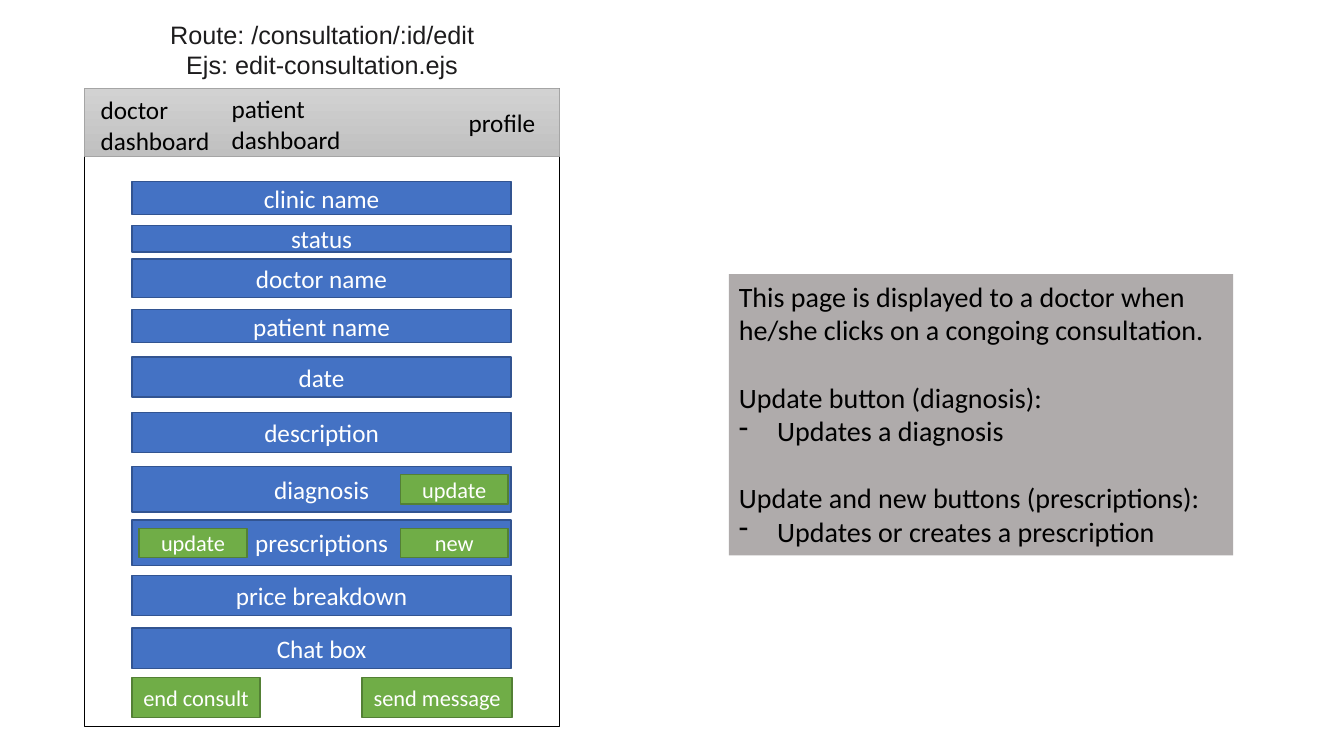
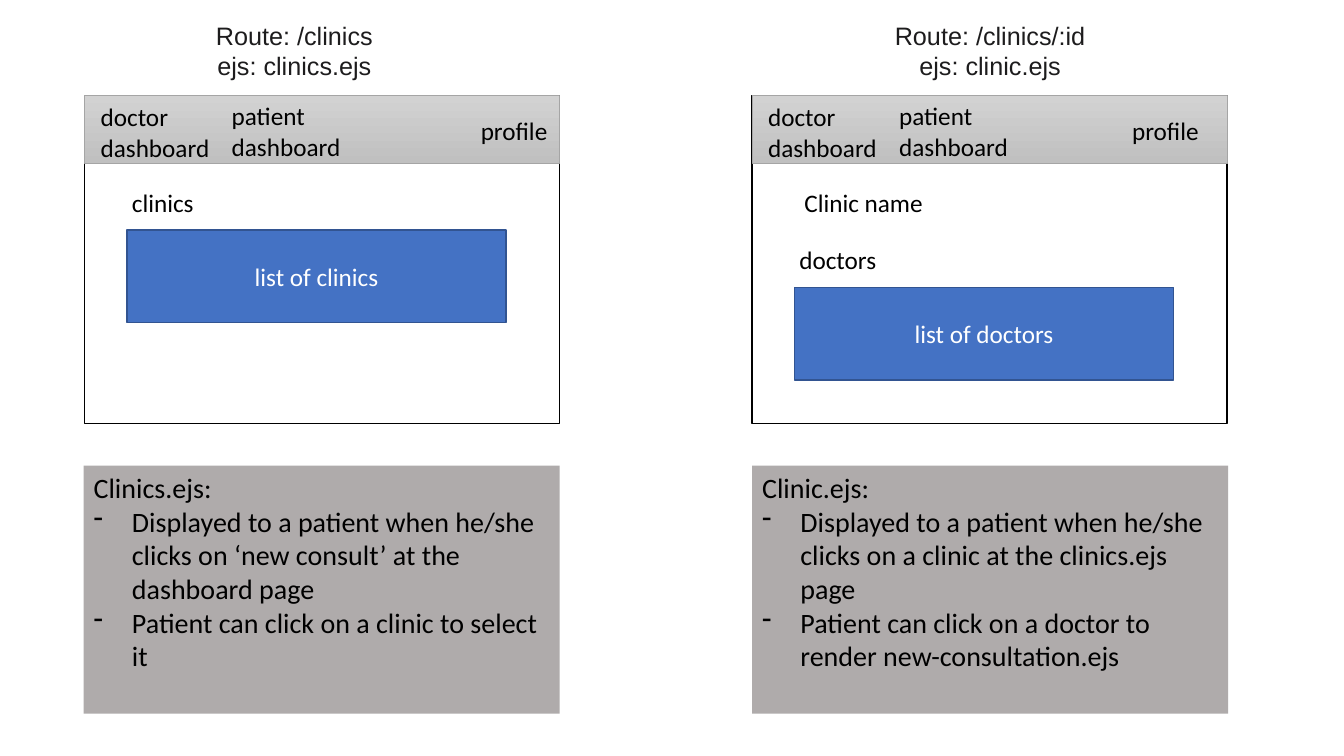
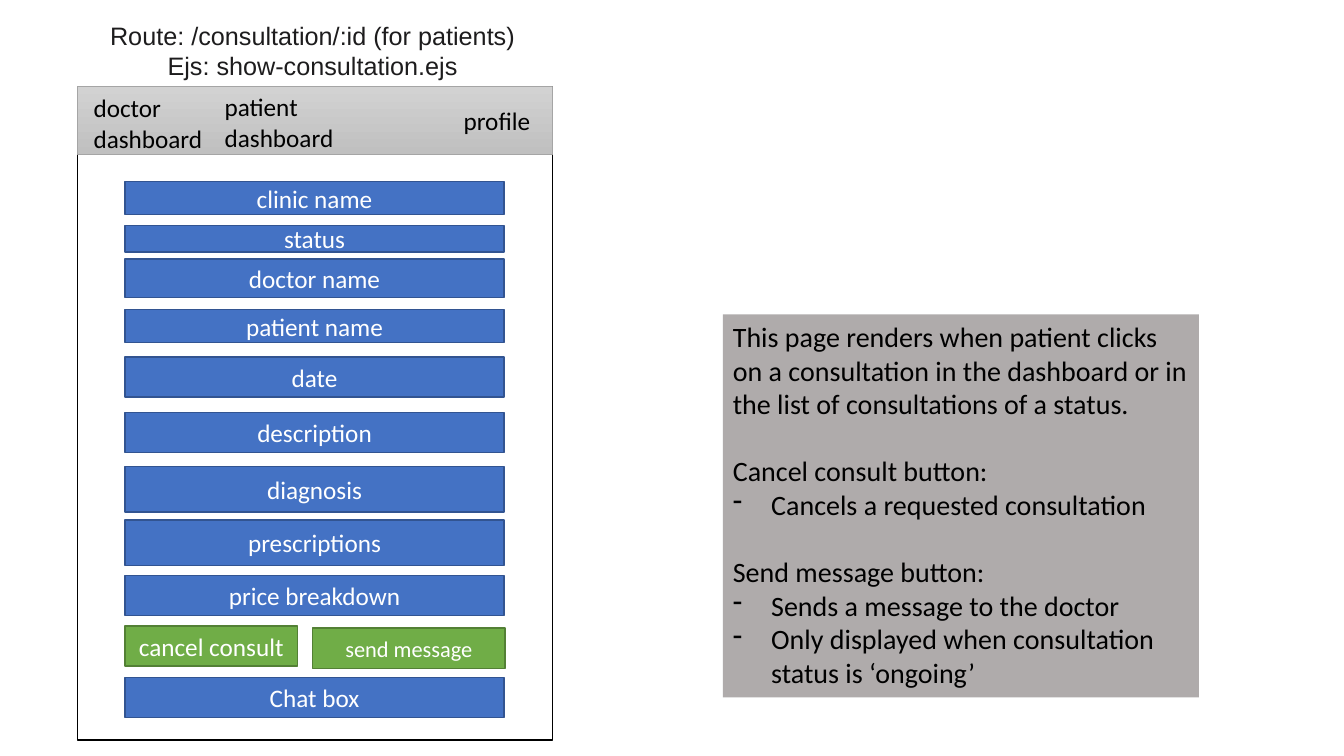
from dataclasses import dataclass
from typing import Any

from lxml import etree
from pptx import Presentation
from pptx.dml.color import RGBColor
from pptx.enum.shapes import MSO_SHAPE
from pptx.enum.text import MSO_ANCHOR, MSO_AUTO_SIZE, PP_ALIGN
from pptx.oxml.ns import qn
from pptx.util import Inches, Pt

RECT = MSO_SHAPE.RECTANGLE
TOP, MIDDLE = MSO_ANCHOR.TOP, MSO_ANCHOR.MIDDLE
LEFT, CENTER = PP_ALIGN.LEFT, PP_ALIGN.CENTER
FIXED = MSO_AUTO_SIZE.NONE


@dataclass(frozen=True)
class Theme:
    head: str = "Arial"
    body: str = "Calibri"
    ink: str = "1D1C1D"
    black: str = "000000"
    white: str = "FFFFFF"
    blue: str = "4472C4"
    navy: str = "325491"
    green: str = "70AD47"
    moss: str = "538035"
    light: str = "D2D2D2"
    dark: str = "C0C0C0"
    edge: str = "A5A5A5"
    note: str = "AFABAB"
    small: int = 16
    base: int = 18
    large: int = 20


@dataclass(frozen=True)
class Box:
    left: float
    top: float
    width: float
    height: float


@dataclass(frozen=True)
class Panel:
    route: str
    title: Box
    frame: Box
    profile: float


@dataclass(frozen=True)
class Field:
    text: str
    top: float
    height: float = 0.4


@dataclass(frozen=True)
class Button:
    text: str
    box: Box
    size: int = 16


@dataclass(frozen=True)
class Note:
    box: Box
    lines: tuple[str, ...]


THEME = Theme()
WIDE = 4.71
BAR = 3.76
FIELDS = (
    Field("clinic name", 1.8, 0.33),
    Field("status", 2.24, 0.26),
    Field("doctor name", 2.57, 0.38),
    Field("patient name", 3.07, 0.33),
    Field("date", 3.54),
    Field("description", 4.09),
    Field("diagnosis", 4.63, 0.45),
    Field("prescriptions", 5.16, 0.45),
    Field("price breakdown", 5.71),
)


def color(code: str) -> RGBColor:
    return RGBColor.from_string(code)


def place(box: Box) -> tuple[int, int, int, int]:
    return (Inches(box.left), Inches(box.top),
            Inches(box.width), Inches(box.height))


def write(shape: Any, text: str, size: int, tint: str, align: Any = LEFT,
          anchor: Any = TOP, face: str = THEME.body) -> None:
    frame = shape.text_frame
    frame.text = text
    frame.word_wrap = True
    frame.auto_size = FIXED
    frame.vertical_anchor = anchor
    for para in frame.paragraphs:
        para.alignment = align
        para.font.name = face
        para.font.size = Pt(size)
        para.font.color.rgb = color(tint)


def draw_rect(shapes: Any, box: Box, fill: str | None = None,
              line: str | None = None, weight: float = 1) -> Any:
    shape = shapes.add_shape(RECT, *place(box))
    shape.shadow.inherit = False
    if fill:
        shape.fill.solid()
        shape.fill.fore_color.rgb = color(fill)
    else:
        shape.fill.background()
    if line:
        shape.line.color.rgb = color(line)
        shape.line.width = Pt(weight)
    else:
        shape.line.fill.background()
    return shape


def draw_label(shapes: Any, text: str, box: Box) -> None:
    write(shapes.add_textbox(*place(box)), text, THEME.base, THEME.black)


def draw_bar(shapes: Any, text: str, box: Box) -> None:
    shape = draw_rect(shapes, box, THEME.blue, THEME.navy)
    write(shape, text, THEME.base, THEME.white, CENTER, MIDDLE)


def draw_button(shapes: Any, button: Button) -> None:
    shape = draw_rect(shapes, button.box, THEME.green, THEME.moss)
    write(shape, button.text, button.size, THEME.white, CENTER, MIDDLE)


def draw_nav(shapes: Any, panel: Panel) -> None:
    left, top = panel.frame.left, panel.frame.top
    group = shapes.add_group_shape().shapes
    band = draw_rect(group, Box(left, top, WIDE, 0.67), THEME.light,
                     THEME.edge, 0.5)
    band.fill.gradient()
    band.fill.gradient_angle = 270
    for stop, code in zip(band.fill.gradient_stops, (THEME.light, THEME.dark)):
        stop.color.rgb = color(code)
    wide = panel.profile
    draw_label(group, "profile", Box(left + WIDE - wide, top + 0.14, wide, 0.4))
    draw_label(group, "doctor\vdashboard", Box(left + 0.06, top + 0.01, 1.37, 0.71))
    draw_label(group, "patient\vdashboard", Box(left + 1.36, top, 1.37, 0.71))


def draw_panel(slide: Any, panel: Panel, first: bool = True) -> None:
    shapes = slide.shapes
    if first:
        head = shapes.title
        head.left, head.top, head.width, head.height = place(panel.title)
    else:
        head = shapes.add_textbox(*place(panel.title))
    write(head, panel.route, THEME.base, THEME.ink, CENTER, TOP, THEME.head)
    draw_rect(shapes, panel.frame, line=THEME.black)
    draw_nav(shapes, panel)


def draw_note(shapes: Any, note: Note) -> None:
    shape = draw_rect(shapes, note.box, THEME.note)
    text = "\n".join(line.removeprefix("- ") for line in note.lines)
    write(shape, text, THEME.large, THEME.black)
    for index, para in enumerate(shape.text_frame.paragraphs):
        if note.lines[index].startswith("- "):
            props = para._p.get_or_add_pPr()
            props.set("marL", str(Inches(0.38)))
            props.set("indent", str(-Inches(0.38)))
            mark = etree.Element(qn("a:buChar"), char="-")
            props.insert_element_before(mark, "a:tabLst", "a:defRPr", "a:extLst")
        elif index:
            para.space_before = Pt(24)


def draw_form(slide: Any, panel: Panel, left: float, chat: Field,
              buttons: tuple[Button, ...], note: Note) -> None:
    draw_panel(slide, panel)
    for field in (*FIELDS, chat):
        draw_bar(slide.shapes, field.text, Box(left, field.top, BAR, field.height))
    for button in buttons:
        draw_button(slide.shapes, button)
    draw_note(slide.shapes, note)


def draw_edit(slide: Any) -> None:
    panel = Panel("Route: /consultation/:id/edit\nEjs: edit-consultation.ejs",
                  Box(1.13, 0.14, 4.13, 0.71), Box(0.84, 0.88, WIDE, 6.33), 1)
    buttons = (
        Button("end consult", Box(1.31, 6.72, 1.27, 0.4)),
        Button("send message", Box(3.59, 6.72, 1.49, 0.4)),
        Button("update", Box(3.97, 4.71, 1.07, 0.29)),
        Button("new", Box(3.97, 5.24, 1.07, 0.29)),
        Button("update", Box(1.38, 5.24, 1.07, 0.29)),
    )
    note = Note(Box(7.23, 2.72, 5, 2.79), (
        "This page is displayed to a doctor when he/she clicks on a "
        "congoing consultation.",
        "Update button (diagnosis):",
        "- Updates a diagnosis",
        "Update and new buttons (prescriptions):",
        "- Updates or creates a prescription",
    ))
    draw_form(slide, panel, 1.31, Field("Chat box", 6.23), buttons, note)


def draw_clinics(slide: Any) -> None:
    shapes = slide.shapes
    lists = Panel("Route: /clinics\vejs: clinics.ejs",
                  Box(1.47, 0.15, 2.9, 0.71), Box(0.84, 0.95, WIDE, 3.25), 0.88)
    detail = Panel("Route: /clinics/:id\vejs: clinic.ejs",
                   Box(8.37, 0.15, 2.9, 0.71), Box(7.46, 0.95, WIDE, 3.25), 1.04)
    draw_panel(slide, lists)
    draw_panel(slide, detail, False)
    draw_label(shapes, "clinics", Box(1.21, 1.81, 3.86, 0.4))
    draw_bar(shapes, "list of clinics", Box(1.26, 2.28, BAR, 0.92))
    draw_label(shapes, "Clinic name", Box(7.88, 1.81, 3.86, 0.4))
    draw_label(shapes, "doctors", Box(7.83, 2.37, 3.86, 0.4))
    draw_bar(shapes, "list of doctors", Box(7.88, 2.85, BAR, 0.92))
    draw_note(shapes, Note(Box(0.83, 4.62, 4.72, 2.46), (
        "Clinics.ejs:",
        "- Displayed to a patient when he/she clicks on ‘new consult’ at "
        "the dashboard page",
        "- Patient can click on a clinic to select it",
    )))
    draw_note(shapes, Note(Box(7.46, 4.62, 4.72, 2.46), (
        "Clinic.ejs:",
        "- Displayed to a patient when he/she clicks on a clinic at the "
        "clinics.ejs page",
        "- Patient can click on a doctor to render new-consultation.ejs",
    )))


def draw_show(slide: Any) -> None:
    panel = Panel("Route: /consultation/:id (for patients)\n"
                  "Ejs: show-consultation.ejs",
                  Box(0.83, 0.15, 4.54, 0.71), Box(0.77, 0.86, WIDE, 6.48), 0.98)
    buttons = (
        Button("cancel consult", Box(1.24, 6.21, 1.71, 0.4), THEME.base),
        Button("send message", Box(3.1, 6.23, 1.91, 0.4)),
    )
    note = Note(Box(7.17, 3.12, 4.72, 3.8), (
        "This page renders when patient clicks on a consultation in the "
        "dashboard or in the list of consultations of a status.",
        "Cancel consult button:",
        "- Cancels a requested consultation",
        "Send message button:",
        "- Sends a message to the doctor",
        "- Only displayed when consultation status is ‘ongoing’",
    ))
    draw_form(slide, panel, 1.24, Field("Chat box", 6.72), buttons, note)


def main() -> None:
    deck = Presentation()
    deck.slide_width, deck.slide_height = Inches(13.33), Inches(7.5)
    layout = next(item for item in deck.slide_layouts if item.name == "Title Only")
    for draw in (draw_edit, draw_clinics, draw_show):
        draw(deck.slides.add_slide(layout))
    deck.save("out.pptx")


main()
